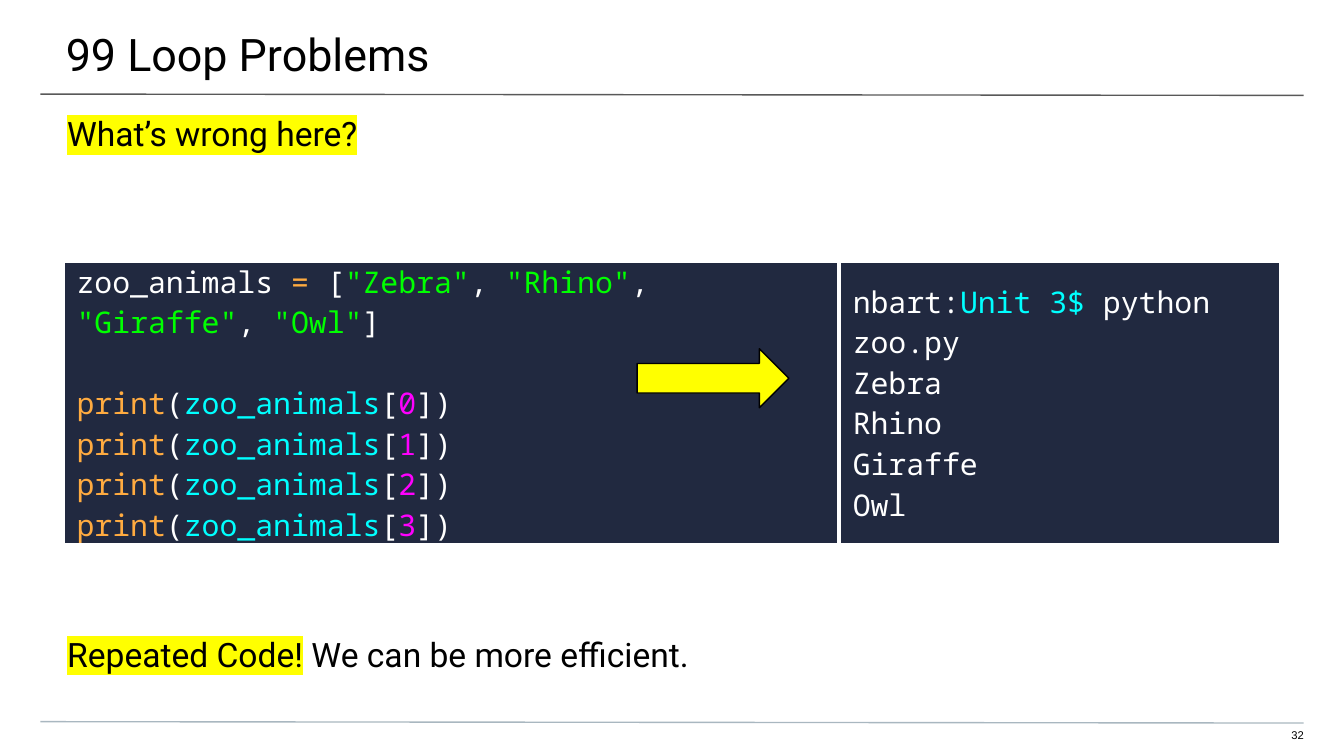
from typing import NamedTuple

from lxml.etree import SubElement
from pptx import Presentation
from pptx.dml.color import RGBColor
from pptx.enum.shapes import MSO_CONNECTOR, MSO_SHAPE
from pptx.enum.text import MSO_ANCHOR, PP_ALIGN
from pptx.oxml import parse_xml
from pptx.oxml.ns import nsdecls, qn
from pptx.util import Emu, Pt

PX = 4572
BLACK, WHITE, YELLOW = "000000", "FFFFFF", "FFFF00"
NAVY, ORANGE, GREEN, CYAN, MAGENTA = "212940", "FFAB40", "00FF00", "00FFFF", "FF00FF"
CODE_FONT = "Noto Sans Mono"
CODE_SIZE = 16
CODE_LINE = 21.8


class Token(NamedTuple):
    text: str
    color: str = BLACK
    highlight: str = ""


class TextBox(NamedTuple):
    box: tuple[int, int, int, int]
    insets: tuple[int, int, int, int]
    tokens: list[Token]
    size: int
    font: str = "Roboto"
    align: PP_ALIGN = PP_ALIGN.LEFT


class Rule(NamedTuple):
    y: int
    color: str


class CodeLine(NamedTuple):
    tokens: list[Token]
    before: float = 0


class CodeCell(NamedTuple):
    width: int
    lines: list[CodeLine]
    anchor: MSO_ANCHOR


def px(n: int) -> Emu:
    return Emu(n * PX)


def rgb(color: str) -> RGBColor:
    return RGBColor.from_string(color)


def add_tokens(p, tokens: list[Token], size: int, font: str) -> None:
    for token in tokens:
        r = p.add_run()
        r.text = token.text
        r.font.size = Pt(size)
        r.font.name = font
        r.font.color.rgb = rgb(token.color)
        if token.highlight:
            r._r.rPr.find(qn("a:solidFill")).addnext(parse_xml(
                f'<a:highlight {nsdecls("a")}><a:srgbClr val="{token.highlight}"/></a:highlight>'))


def add_text(s, item: TextBox) -> None:
    tf = s.shapes.add_textbox(*map(px, item.box)).text_frame
    tf.word_wrap = True
    tf.margin_left, tf.margin_top, tf.margin_right, tf.margin_bottom = map(px, item.insets)
    p = tf.paragraphs[0]
    p.alignment = item.align
    add_tokens(p, item.tokens, item.size, item.font)


def add_rule(s, rule: Rule) -> None:
    line = s.shapes.add_connector(
        MSO_CONNECTOR.STRAIGHT, px(60), px(rule.y), px(1940), px(rule.y + 2))
    line.line.color.rgb = rgb(rule.color)
    line.line.width = Pt(0.75)
    SubElement(line._element.spPr, qn("a:effectLst"))


def add_borders(cell, color: str, width: float) -> None:
    tcPr = cell._tc.get_or_add_tcPr()
    for i, side in enumerate("LRTB"):
        tcPr.insert(i, parse_xml(
            f'<a:ln{side} {nsdecls("a")} w="{int(Pt(width))}"><a:solidFill>'
            f'<a:srgbClr val="{color}"/></a:solidFill></a:ln{side}>'))


def add_code_table(s, cells: list[CodeCell]) -> None:
    width = sum(c.width for c in cells)
    table = s.shapes.add_table(1, len(cells), px(94), px(389), px(width), px(422)).table
    table.first_row = table.horz_banding = False
    for i, item in enumerate(cells):
        table.columns[i].width = px(item.width)
        cell = table.cell(0, i)
        cell.fill.solid()
        cell.fill.fore_color.rgb = rgb(NAVY)
        cell.vertical_anchor = item.anchor
        cell.margin_left = cell.margin_right = px(20)
        cell.margin_top = cell.margin_bottom = 0
        add_borders(cell, WHITE, 2.25)
        tf = cell.text_frame
        for n, line in enumerate(item.lines):
            p = tf.add_paragraph() if n else tf.paragraphs[0]
            if line.before:
                p.space_before = Pt(line.before)
            add_tokens(p, line.tokens, CODE_SIZE, CODE_FONT)


def add_arrow(s) -> None:
    sp = s.shapes.add_shape(MSO_SHAPE.UP_ARROW, px(1017), px(450), px(88), px(226))
    sp.rotation = 90
    sp.shadow.inherit = False
    sp.fill.solid()
    sp.fill.fore_color.rgb = rgb(YELLOW)
    sp.line.color.rgb = rgb(BLACK)
    sp.line.width = Pt(0.75)


def list_line(animals: list[str]) -> CodeLine:
    tokens = [Token("zoo_animals ", WHITE), Token("=", ORANGE), Token(" [", WHITE)]
    for i, animal in enumerate(animals):
        if i:
            tokens.append(Token(", ", WHITE))
        tokens.append(Token(f'"{animal}"', GREEN))
    return CodeLine(tokens + [Token("]", WHITE)])


def print_line(index: int) -> CodeLine:
    tokens = [Token("print", ORANGE), Token("(", WHITE), Token("zoo_animals", CYAN),
              Token("[", WHITE), Token(str(index), MAGENTA), Token("])", WHITE)]
    return CodeLine(tokens, 0 if index else CODE_LINE)


ANIMALS = ["Zebra", "Rhino", "Giraffe", "Owl"]
COMMAND = CodeLine(
    [Token("nbart:", WHITE), Token("Unit 3$", CYAN), Token(" python zoo.py", WHITE)])
RULES = [Rule(140, "595959"), Rule(1074, "A9B7C0")]
CELLS = [
    CodeCell(1155, [list_line(ANIMALS), *map(print_line, range(len(ANIMALS)))],
             MSO_ANCHOR.TOP),
    CodeCell(657, [COMMAND, *(CodeLine([Token(a, WHITE)]) for a in ANIMALS)],
             MSO_ANCHOR.MIDDLE),
]
BODY_INSETS = (100, 20, 100, 0)
TEXTS = [
    TextBox((-2, 0, 2006, 116), (100, 40, 60, 20), [Token("99 Loop Problems")], 24),
    TextBox((0, 148, 2000, 80), BODY_INSETS,
            [Token("What’s wrong here?", highlight=YELLOW)], 18),
    TextBox((0, 923, 2000, 80), BODY_INSETS,
            [Token("Repeated Code!", highlight=YELLOW),
             Token(" We can be more efficient.")], 18),
    TextBox((1882, 1084, 58, 24), (0, 0, 0, 20), [Token("32")], 6, "Arial", PP_ALIGN.RIGHT),
]


def main() -> None:
    prs = Presentation()
    prs.slide_width, prs.slide_height = px(2000), px(1125)
    s = prs.slides.add_slide(prs.slide_layouts[6])
    for rule in RULES:
        add_rule(s, rule)
    for item in TEXTS:
        add_text(s, item)
    add_code_table(s, CELLS)
    add_arrow(s)
    prs.save("out.pptx")


if __name__ == "__main__":
    main()
